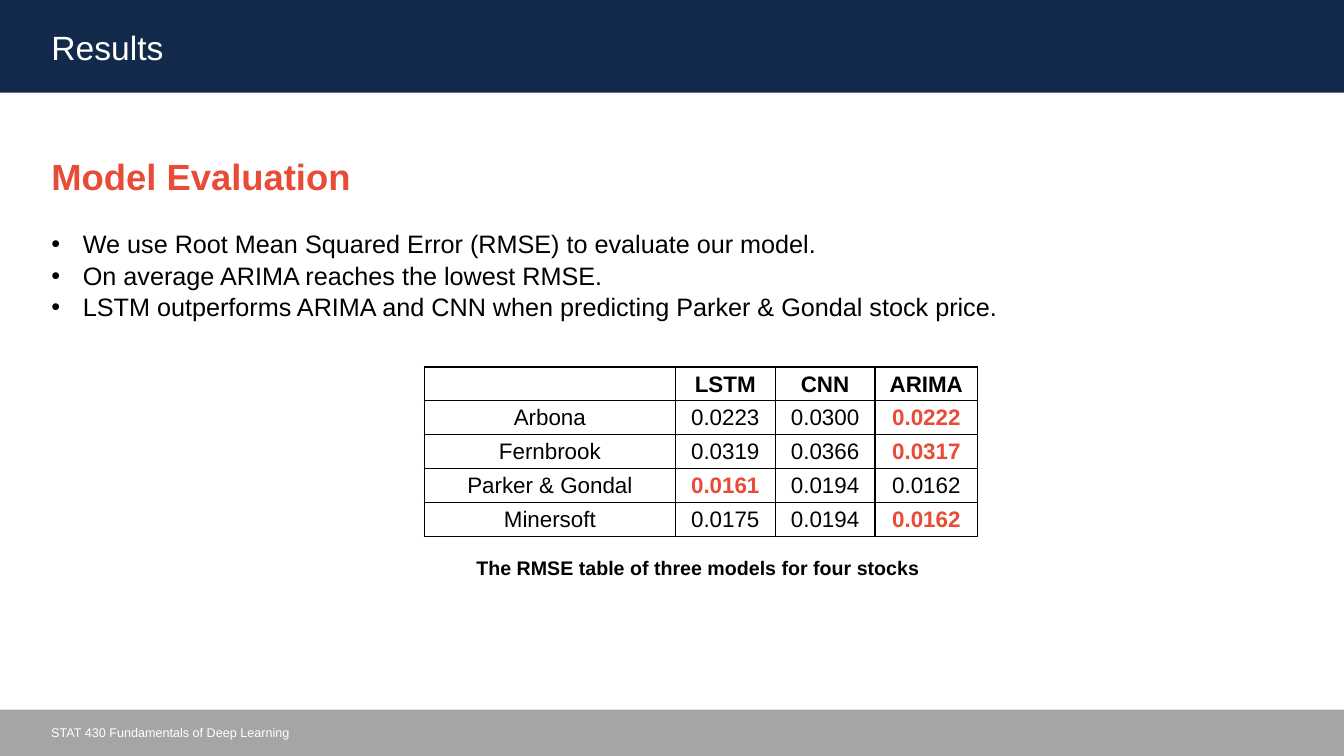
"""Build the model evaluation results slide."""
from typing import NamedTuple

from lxml import etree
from pptx import Presentation
from pptx import util as u
from pptx.dml import color
from pptx.enum import shapes, text
from pptx.oxml import ns

BLACK, WHITE, RED = "000000", "FFFFFF", "E84B36"
NAVY, GRAY = "13294B", "A5A5A5"


class Area(NamedTuple):
    left: float
    top: float
    width: float
    height: float

    def lengths(self) -> list:
        return [u.Pt(value) for value in self]


class Band(NamedTuple):
    area: Area
    fill: str


class Label(NamedTuple):
    area: Area
    words: str
    size: float
    hue: str
    bold: bool = False
    align: text.PP_ALIGN = text.PP_ALIGN.LEFT


class Stock(NamedTuple):
    name: str
    errors: tuple[float, ...]


BANDS = [
    Band(Area(0, 506.9, 960, 33.1), GRAY),
    Band(Area(0, -2.2, 960, 68.4), NAVY),
]
TITLE = Label(Area(29.5, 15.8, 859, 36), "Results", 24, WHITE)
LABELS = [
    Label(Area(29.5, 514.1, 629.3, 18), "STAT 430 Fundamentals of Deep Learning", 9, WHITE),
    Label(Area(301, 393.1, 395.3, 24.5), "The RMSE table of three models for four stocks",
          14, BLACK, True, text.PP_ALIGN.CENTER),
]
BODY_AREA = Area(29.5, 105.1, 879.8, 379.4)
HEADING = "Model Evaluation"
POINTS = [
    "We use Root Mean Squared Error (RMSE) to evaluate our model.",
    "On average ARIMA reaches the lowest RMSE.",
    "LSTM outperforms ARIMA and CNN when predicting Parker & Gondal stock price.",
]
MODELS = ["LSTM", "CNN", "ARIMA"]
STOCKS = [
    Stock("Arbona", (0.0223, 0.0300, 0.0222)),
    Stock("Fernbrook", (0.0319, 0.0366, 0.0317)),
    Stock("Parker & Gondal", (0.0161, 0.0194, 0.0162)),
    Stock("Minersoft", (0.0175, 0.0194, 0.0162)),
]
COLUMN_WIDTHS = [179.3, 71.3, 71.3, 73.4]
ROW_HEIGHT = 24.2
TABLE_AREA = Area(303.1, 262.1, sum(COLUMN_WIDTHS), ROW_HEIGHT * (len(STOCKS) + 1))


def rgb(hue: str) -> color.RGBColor:
    return color.RGBColor.from_string(hue)


def place(shape, area: Area) -> None:
    shape.left, shape.top, shape.width, shape.height = area.lengths()


def style(para, size: float, hue: str, bold: bool = False,
          align: text.PP_ALIGN = text.PP_ALIGN.LEFT) -> None:
    para.alignment = align
    for span in para.runs:
        span.font.name = "Arial"
        span.font.size = u.Pt(size)
        span.font.bold = bold
        span.font.color.rgb = rgb(hue)


def add_band(page, band: Band) -> None:
    shape = page.shapes.add_shape(shapes.MSO_SHAPE.RECTANGLE, *band.area.lengths())
    shape.shadow.inherit = False
    shape.fill.solid()
    shape.fill.fore_color.rgb = rgb(band.fill)
    shape.line.fill.background()
    page.shapes.element.insert(2, shape.element)


def write_label(box, label: Label) -> None:
    frame = box.text_frame
    frame.text = label.words
    frame.word_wrap = True
    frame.auto_size = text.MSO_AUTO_SIZE.NONE
    frame.vertical_anchor = text.MSO_ANCHOR.MIDDLE
    style(frame.paragraphs[0], label.size, label.hue, label.bold, label.align)


def set_bullet(para, mark: str = "", indent: float = 0) -> None:
    properties = para._p.get_or_add_pPr()
    properties.set("marL", str(u.Pt(indent)))
    properties.set("indent", str(u.Pt(-indent)))
    if mark:
        etree.SubElement(properties, ns.qn("a:buChar"), char=mark)
    else:
        etree.SubElement(properties, ns.qn("a:buNone"))


def fill_body(body) -> None:
    place(body, BODY_AREA)
    frame = body.text_frame
    frame.text = "\n".join([HEADING, *POINTS])
    frame.auto_size = text.MSO_AUTO_SIZE.NONE
    for para in frame.paragraphs:
        para.space_before = para.space_after = u.Pt(0)
        para.line_spacing = 1.04
    heading, *points = frame.paragraphs
    heading.space_after = u.Pt(21.4)
    style(heading, 26, RED, True)
    set_bullet(heading)
    for para in points:
        style(para, 18, BLACK)
        set_bullet(para, "•", 22.5)


def add_borders(cell) -> None:
    properties = cell._tc.get_or_add_tcPr()
    for index, side in enumerate(["lnL", "lnR", "lnT", "lnB"]):
        line = etree.Element(ns.qn(f"a:{side}"), w=str(u.Pt(1)))
        fill = etree.SubElement(line, ns.qn("a:solidFill"))
        etree.SubElement(fill, ns.qn("a:srgbClr"), val=BLACK)
        properties.insert(index, line)


def write_cell(cell, words: str, hue: str = BLACK, bold: bool = False) -> None:
    cell.text = words
    cell.fill.background()
    cell.vertical_anchor = text.MSO_ANCHOR.MIDDLE
    cell.margin_left = cell.margin_right = cell.margin_top = u.Pt(0.7)
    cell.margin_bottom = u.Pt(0)
    style(cell.text_frame.paragraphs[0], 16, hue, bold, text.PP_ALIGN.CENTER)
    add_borders(cell)


def add_error_table(page) -> None:
    table = page.shapes.add_table(len(STOCKS) + 1, len(COLUMN_WIDTHS),
                                  *TABLE_AREA.lengths()).table
    for column, width in zip(table.columns, COLUMN_WIDTHS):
        column.width = u.Pt(width)
    for row in table.rows:
        row.height = u.Pt(ROW_HEIGHT)
    for index, model in enumerate(["", *MODELS]):
        write_cell(table.cell(0, index), model, bold=True)
    for row, stock in enumerate(STOCKS, 1):
        write_cell(table.cell(row, 0), stock.name)
        for column, error in enumerate(stock.errors, 1):
            best = error == min(stock.errors)
            write_cell(table.cell(row, column), f"{error:.4f}", RED if best else BLACK, best)


def main() -> None:
    deck = Presentation()
    deck.slide_width, deck.slide_height = u.Pt(960), u.Pt(540)
    page = deck.slides.add_slide(deck.slide_layouts[1])
    for band in BANDS:
        add_band(page, band)
    place(page.shapes.title, TITLE.area)
    write_label(page.shapes.title, TITLE)
    fill_body(page.placeholders[1])
    for label in LABELS:
        write_label(page.shapes.add_textbox(*label.area.lengths()), label)
    add_error_table(page)
    deck.save("out.pptx")


if __name__ == "__main__":
    main()
